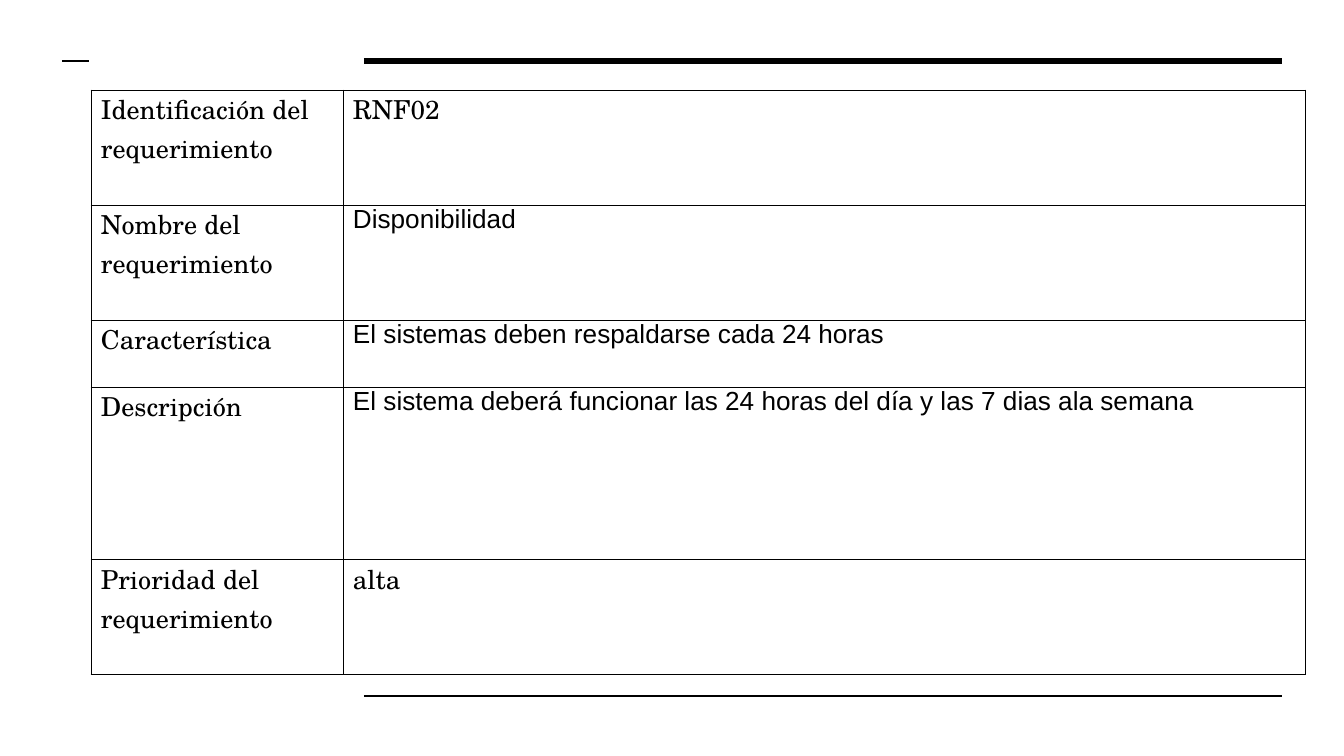
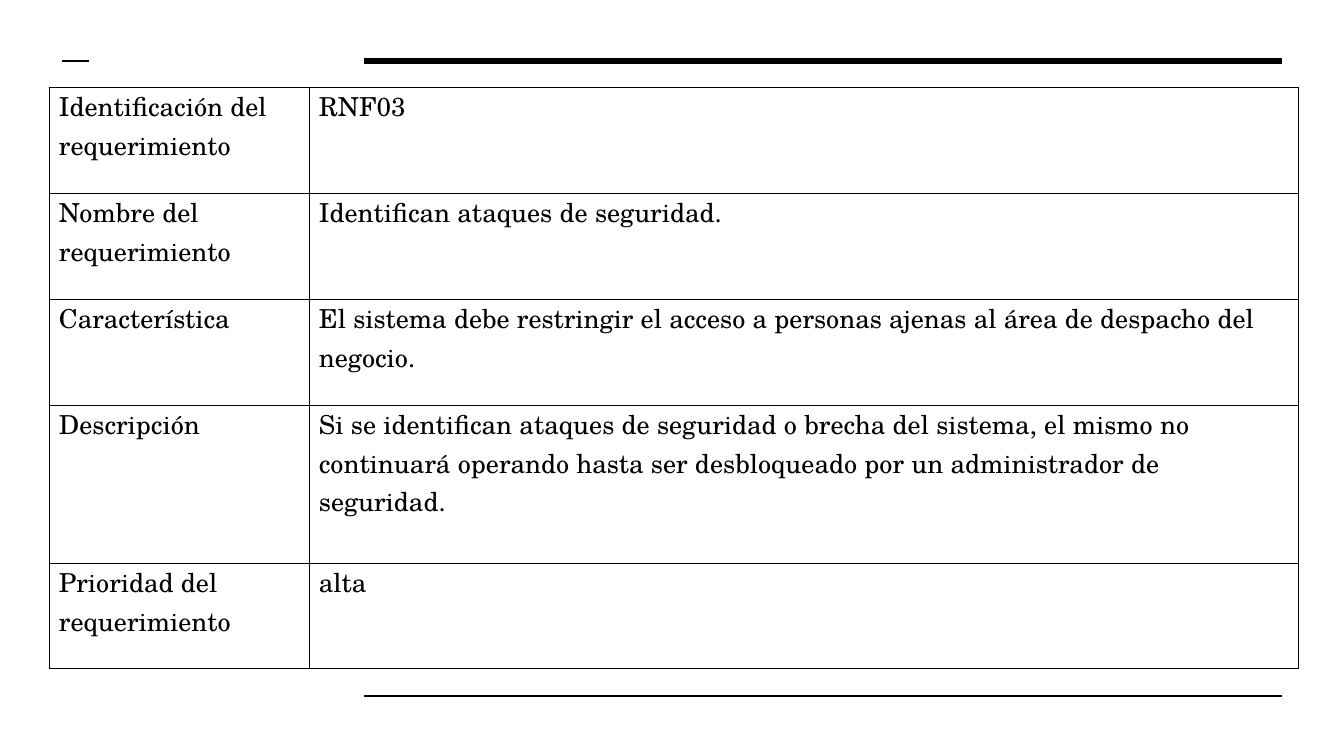
"""Build two slides with tables of non-functional requirements."""
from lxml.etree import SubElement
from pptx import Presentation
from pptx.dml.color import RGBColor
from pptx.enum.shapes import MSO_CONNECTOR
from pptx.oxml.ns import qn
from pptx.util import Emu, Pt

COLORS = {"ink": "000000", "paper": "FFFFFF"}
SERIF = "TeX Gyre Schola"
SANS = "Arial"
LABELS = [
    "Identificación del requerimiento",
    "Nombre del requerimiento",
    "Característica",
    "Descripción",
    "Prioridad del requerimiento",
]
RULES = [(364, 1282, 61, 3), (364, 1282, 696, 1.5), (62, 89, 61, 1.5)]
REQUIREMENTS = [
    {
        "corner": (91, 90),
        "columns": [252, 962],
        "rows": [115, 115, 67, 173, 115],
        "values": [
            ("RNF02", SERIF),
            ("Disponibilidad", SANS),
            ("El sistemas deben respaldarse cada 24 horas", SANS),
            ("El sistema deberá funcionar las 24 horas del día y las 7 dias ala semana", SANS),
            ("alta", SERIF),
        ],
    },
    {
        "corner": (49, 87),
        "columns": [260, 990],
        "rows": [106, 106, 106, 158, 106],
        "values": [
            ("RNF03", SERIF),
            ("Identifican ataques de seguridad.", SERIF),
            ("El sistema debe restringir el acceso a personas ajenas al área de "
             "despacho del negocio.", SERIF),
            ("Si se identifican ataques de seguridad o brecha del sistema, el mismo no "
             "continuará operando hasta ser desbloqueado por un administrador de "
             "seguridad.", SERIF),
            ("alta", SERIF),
        ],
    },
]


def px(length):
    return Emu(round(length * 914400 / 134.4))


def color(name):
    return RGBColor.from_string(COLORS[name])


def add_rule(page, left, right, y, width):
    rule = page.shapes.add_connector(MSO_CONNECTOR.STRAIGHT, px(left), px(y), px(right), px(y))
    rule.line.color.rgb = color("ink")
    rule.line.width = Pt(width)
    SubElement(rule.element.spPr, qn("a:effectLst"))


def add_borders(cell):
    properties = cell._tc.get_or_add_tcPr()
    for side in ("lnL", "lnR", "lnT", "lnB"):
        border = SubElement(properties, qn(f"a:{side}"), w=str(Pt(0.5)))
        fill = SubElement(border, qn("a:solidFill"))
        SubElement(fill, qn("a:srgbClr"), val=COLORS["ink"])


def fill_cell(cell, text, font):
    add_borders(cell)
    cell.fill.background()
    cell.margin_left = cell.margin_right = px(10)
    cell.margin_top = cell.margin_bottom = 0
    span = cell.text_frame.paragraphs[0].add_run()
    span.text = text
    span.font.name = font
    span.font.size = Pt(14)
    span.font.bold = False
    span.font.color.rgb = color("ink")


def add_requirement(page, corner, columns, rows, values):
    left, top = corner
    frame = page.shapes.add_table(
        len(rows), len(columns), px(left), px(top), px(sum(columns)), px(sum(rows)))
    table = frame.table
    table.first_row = table.horz_banding = False
    for column, width in zip(table.columns, columns):
        column.width = px(width)
    for row, height, label, value in zip(table.rows, rows, LABELS, values):
        row.height = px(height)
        fill_cell(row.cells[0], label, SERIF)
        fill_cell(row.cells[1], *value)


def add_page(deck):
    page = deck.slides.add_slide(deck.slide_layouts[6])
    page.background.fill.solid()
    page.background.fill.fore_color.rgb = color("paper")
    for rule in RULES:
        add_rule(page, *rule)
    return page


def main():
    deck = Presentation()
    deck.slide_width, deck.slide_height = px(1344), px(756)
    for requirement in REQUIREMENTS:
        add_requirement(add_page(deck), **requirement)
    deck.save("out.pptx")


if __name__ == "__main__":
    main()
